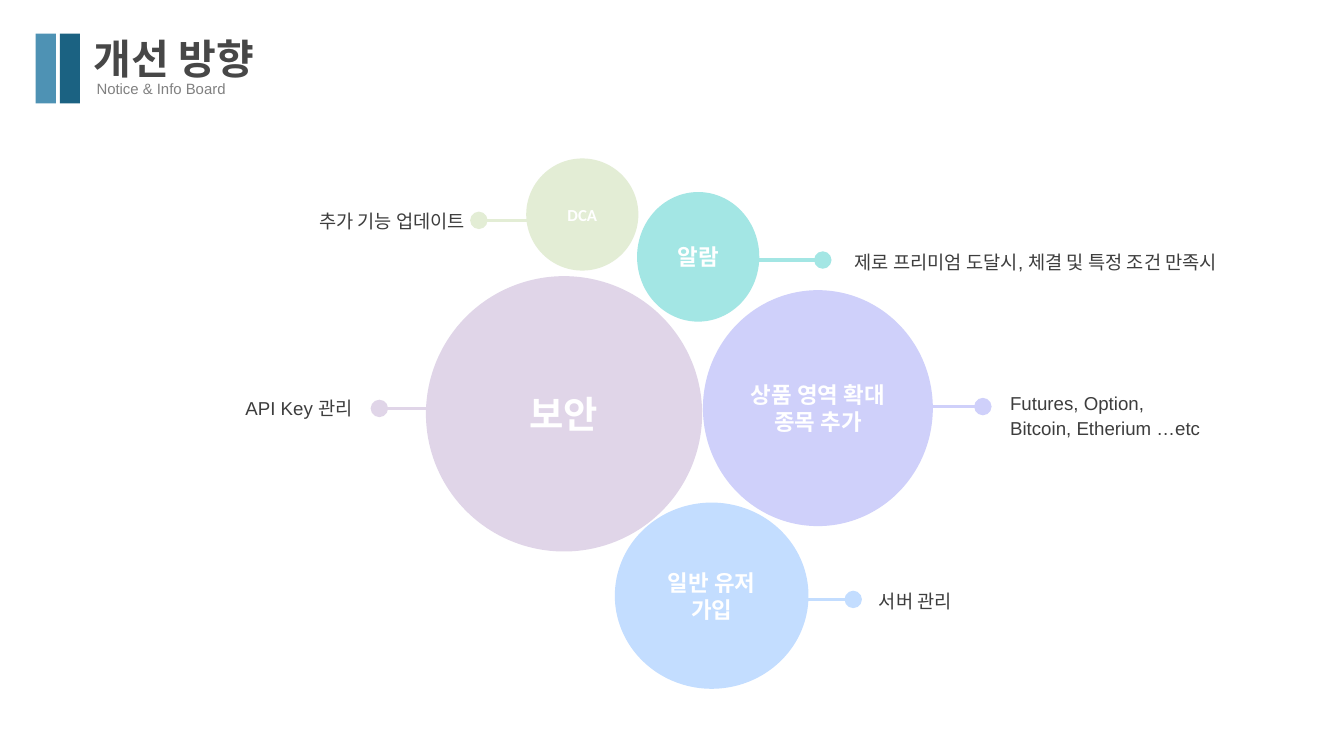
"""Build the improvement plan slide: five bubbles with leader lines and labels."""
from lxml.etree import SubElement
from pptx import Presentation
from pptx.dml.color import RGBColor
from pptx.enum.shapes import MSO_CONNECTOR as Connector, MSO_SHAPE as Shape
from pptx.enum.text import MSO_ANCHOR as Anchor, MSO_AUTO_SIZE as AutoSize, PP_ALIGN as Align
from pptx.oxml.ns import qn
from pptx.util import Cm, Pt

HANGUL_FONT = "Noto Sans CJK SC"
LEADER_LENGTH = 2.4
BARS = [(1.35, "4E92B4"), (2.26, "1B6282")]
BUBBLES = [
    {"name": ["보안"], "size": 40, "color": "E0D5E8", "circle": (16.1, 10.44, 10.44, 10.41),
     "leader": (16.74, 15.44), "side": -1,
     "label": ["API Key 관리"], "label_area": (2.26, 14.91, 11.07, 0.89)},
    {"name": ["상품 영역 확대", "종목 추가"], "size": 24, "color": "CFD0FA",
     "circle": (26.57, 10.97, 8.69, 8.92), "leader": (34.75, 15.37), "side": 1,
     "label": ["Futures, Option,", "Bitcoin, Etherium …etc"],
     "label_area": (38.18, 14.71, 10.49, 1.88)},
    {"name": ["알람"], "size": 24, "color": "A3E6E4", "circle": (24.08, 7.26, 4.62, 4.9),
     "leader": (28.7, 9.83), "side": 1,
     "label": ["제로 프리미엄 도달시, 체결 및 특정 조건 만족시"],
     "label_area": (32.31, 9.37, 15.62, 0.89)},
    {"name": ["DCA"], "size": 18, "color": "E3EDD5", "circle": (19.89, 5.99, 4.24, 4.24),
     "leader": (20.5, 8.33), "side": -1,
     "label": ["추가 기능 업데이트"], "label_area": (5.51, 7.85, 12.07, 0.89)},
    {"name": ["일반 유저", "가입"], "size": 24, "color": "C3DDFF",
     "circle": (23.24, 19, 7.32, 7.04), "leader": (29.85, 22.66), "side": 1,
     "label": ["서버 관리"], "label_area": (33.22, 22.2, 12.07, 0.89)},
]


def rgb(color):
    return RGBColor.from_string(color)


def write(frame, lines, font, size, color, bold=False, align=Align.LEFT, spacing=None):
    for index, line in enumerate(lines):
        para = frame.add_paragraph() if index else frame.paragraphs[0]
        para.alignment = align
        if spacing:
            para.line_spacing = Pt(spacing)
        span = para.add_run()
        span.text = line
        span.font.name, span.font.size, span.font.bold = font, Pt(size), bold
        span.font.color.rgb = rgb(color)
        SubElement(span.font._element, qn("a:ea"), typeface=HANGUL_FONT)


def add_text(page, area, lines, *style, inset=0, **options):
    frame = page.shapes.add_textbox(*map(Cm, area)).text_frame
    frame.word_wrap = True
    frame.auto_size = AutoSize.SHAPE_TO_FIT_TEXT
    frame.margin_left = frame.margin_right = Cm(inset)
    frame.margin_top = frame.margin_bottom = Cm(inset / 2)
    write(frame, lines, *style, **options)


def add_filled(page, kind, area, color):
    shape = page.shapes.add_shape(kind, *map(Cm, area))
    shape.shadow.inherit = False
    shape.fill.solid()
    shape.fill.fore_color.rgb = rgb(color)
    shape.line.fill.background()
    return shape


def add_leader(page, start, side, color):
    x, y = start
    leader = page.shapes.add_connector(
        Connector.STRAIGHT, Cm(x), Cm(y), Cm(x + side * LEADER_LENGTH), Cm(y))
    leader.line.width = Pt(3.75)
    leader.line.color.rgb = rgb(color)
    SubElement(leader.line._get_or_add_ln(), qn("a:tailEnd"), type="oval", w="lg", len="lg")
    SubElement(leader._element.spPr, qn("a:effectLst"))


def add_bubble(page, bubble):
    circle = add_filled(page, Shape.OVAL, bubble["circle"], bubble["color"])
    frame = circle.text_frame
    frame.word_wrap = True
    frame.vertical_anchor = Anchor.MIDDLE
    write(frame, bubble["name"], "Calibri", bubble["size"], "FFFFFF",
          bold=True, align=Align.CENTER)


def main():
    deck = Presentation()
    deck.slide_width, deck.slide_height = Cm(50.8), Cm(28.58)
    page = deck.slides.add_slide(deck.slide_layouts[6])
    for left, color in BARS:
        add_filled(page, Shape.RECTANGLE, (left, 1.27, 0.76, 2.64), color)
    add_text(page, (3.4, 2.9, 12.7, 0.94), ["Notice & Info Board"],
             "Arial", 16, "808080", inset=0.25)
    add_text(page, (3.53, 0.94, 9.8, 2.08), ["개선 방향"],
             HANGUL_FONT, 44, "474747", bold=True, spacing=61.7)
    for bubble in BUBBLES:
        align = Align.LEFT if bubble["side"] > 0 else Align.RIGHT
        add_text(page, bubble["label_area"], bubble["label"],
                 "Arial", 20, "3D3D3D", align=align, spacing=26.7)
        add_leader(page, bubble["leader"], bubble["side"], bubble["color"])
    for bubble in BUBBLES:
        add_bubble(page, bubble)
    deck.save("out.pptx")


if __name__ == "__main__":
    main()
